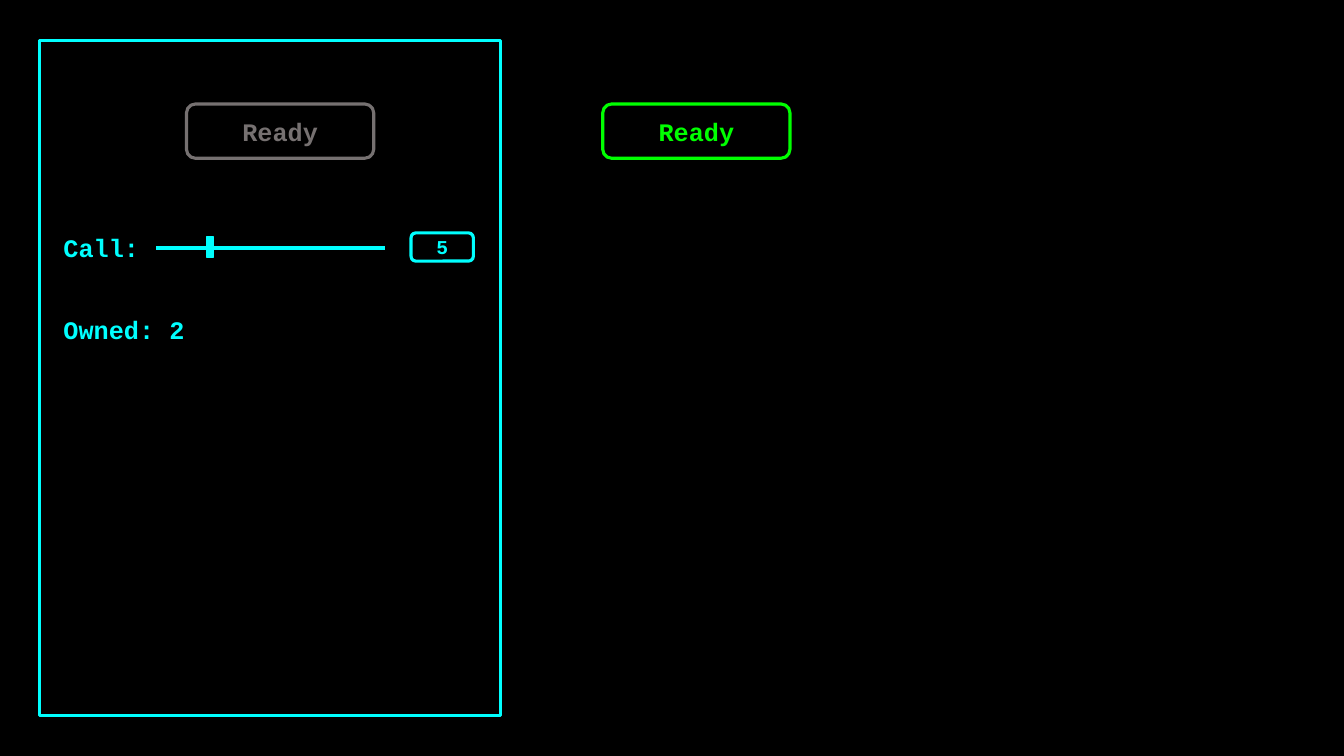
from lxml.etree import SubElement
from pptx import Presentation
from pptx.dml.color import RGBColor
from pptx.enum.shapes import MSO_CONNECTOR as Connector, MSO_SHAPE as Shape
from pptx.enum.text import MSO_ANCHOR as Anchor, MSO_AUTO_SIZE as AutoSize, PP_ALIGN as Align
from pptx.oxml.ns import qn
from pptx.util import Cm, Pt

COLOURS = {
    "background": "000000",
    "accent": "00FFFF",
    "inactive": "767171",
    "active": "00FF00",
}
BUTTON_WIDTH, BUTTON_HEIGHT = 4.72, 1.37


def colour(role):
    return RGBColor.from_string(COLOURS[role])


def write(frame, wording, role, size):
    paragraph = frame.paragraphs[0]
    run = paragraph.add_run()
    run.text = wording
    text_format = {"name": "Courier New", "size": Pt(size), "bold": True}
    for attribute, value in text_format.items():
        setattr(run.font, attribute, value)
    run.font.color.rgb = colour(role)
    return paragraph


def outline(slide, kind, box, role, weight=2.25):
    frame = slide.shapes.add_shape(kind, *map(Cm, box))
    frame.shadow.inherit = False
    frame.fill.background()
    frame.line.color.rgb = colour(role)
    frame.line.width = Pt(weight)
    return frame


def button(slide, box, wording, role, size=18):
    key = outline(slide, Shape.ROUNDED_RECTANGLE, box, role)
    key.text_frame.vertical_anchor = Anchor.MIDDLE
    write(key.text_frame, wording, role, size).alignment = Align.CENTER


def label(slide, box, wording):
    caption = slide.shapes.add_textbox(*map(Cm, box)).text_frame
    frame_format = {"word_wrap": False, "auto_size": AutoSize.SHAPE_TO_FIT_TEXT}
    for attribute, value in frame_format.items():
        setattr(caption, attribute, value)
    write(caption, wording, "accent", 18)


def call_slider(slide, box):
    left, top, width, height = box
    label(slide, (left, top, 2.44, height), "Call:")
    track_left, track_right, track_y = left + 2.59, left + 8.35, top + 0.53
    track = slide.shapes.add_connector(
        Connector.STRAIGHT, *map(Cm, (track_left, track_y, track_right, track_y))
    )
    track.line.color.rgb = colour("accent")
    track.line.width = Pt(3)
    SubElement(track._element.spPr, qn("a:effectLst"))
    value_width = 1.57
    value_box = (left + width - value_width, top + 0.15, value_width, 0.71)
    button(slide, value_box, "5", "accent", 14)
    knob = outline(slide, Shape.RECTANGLE, (left + 3.86, top + 0.25, 0.18, 0.51), "accent", 1)
    knob.fill.solid()
    knob.fill.fore_color.rgb = colour("accent")


def control_panel(slide, box):
    left, top, width, height = box
    outline(slide, Shape.RECTANGLE, box, "accent")
    button(slide, (left + 3.71, top + 1.6, BUTTON_WIDTH, BUTTON_HEIGHT), "Ready", "inactive")
    row_left = left + 0.36
    call_slider(slide, (row_left, top + 4.7, width - 1.05, 1.02))
    label(slide, (row_left, top + 6.78, 3.58, 1.02), "Owned: 2")


def main():
    deck = Presentation()
    deck.slide_width, deck.slide_height = Cm(33.87), Cm(19.05)
    slide = deck.slides.add_slide(deck.slide_layouts.get_by_name("Blank"))
    slide.background.fill.solid()
    slide.background.fill.fore_color.rgb = colour("background")
    control_panel(slide, (0.99, 1.02, 11.63, 17.02))
    button(slide, (15.19, 2.62, BUTTON_WIDTH, BUTTON_HEIGHT), "Ready", "active")
    deck.save("out.pptx")


if __name__ == "__main__":
    main()
